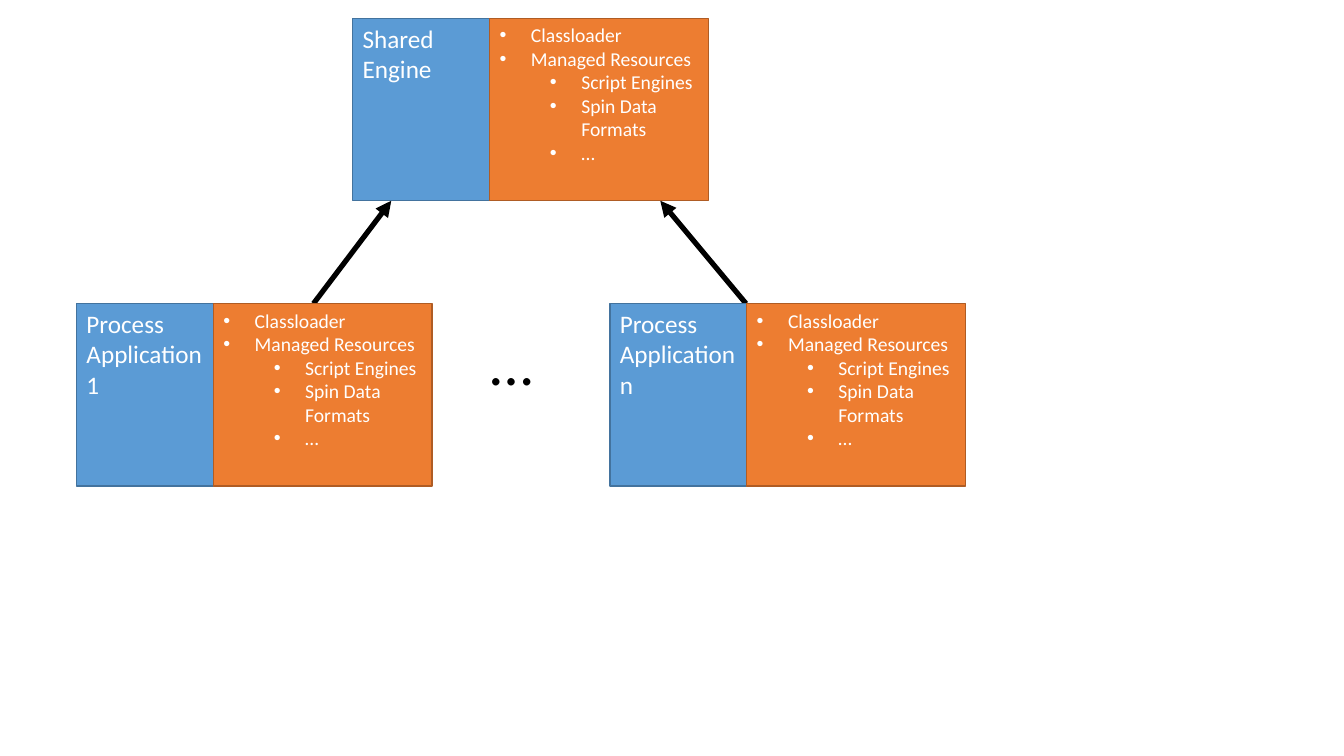
from lxml.etree import SubElement
from pptx import Presentation
from pptx.dml.color import RGBColor
from pptx.enum.shapes import MSO_CONNECTOR, MSO_SHAPE
from pptx.enum.text import MSO_ANCHOR, MSO_AUTO_SIZE, PP_ALIGN
from pptx.oxml.ns import qn
from pptx.util import Cm, Pt

FONT = "Calibri"
BLUE, BLUE_EDGE = "5B9BD5", "43739E"
ORANGE, ORANGE_EDGE = "ED7D31", "AF5C24"
WHITE, BLACK = "FFFFFF", "000000"

# Text and outline level of each bullet
CONTENTS = [
    ("Classloader", 0),
    ("Managed Resources", 0),
    ("Script Engines", 1),
    ("Spin Data Formats", 1),
    ("…", 1),
]
NAME_W, CONTENTS_W, BLOCK_H = 3.45, 5.51, 4.6
ENGINE_TOP, APP_TOP = 0.46, 7.65
# Name, left, top in cm
BLOCKS = [
    ("Shared Engine", 8.89, ENGINE_TOP),
    ("Process Application 1", 1.93, APP_TOP),
    ("Process Application n", 15.37, APP_TOP),
]
# Start x at an application, end x at the engine, in cm
ARROWS = [(7.9, 9.86), (18.8, 16.64)]
HANGING, LEVEL_STEP = 0.79, 1.27


def rgb(color):
    return RGBColor.from_string(color)


def format_text(tf, size, color):
    for p in tf.paragraphs:
        p.alignment = PP_ALIGN.LEFT
        for r in p.runs:
            r.font.name = FONT
            r.font.size = Pt(size)
            r.font.color.rgb = rgb(color)


def add_box(shapes, left, top, width, fill, edge):
    s = shapes.add_shape(MSO_SHAPE.RECTANGLE, Cm(left), Cm(top), Cm(width), Cm(BLOCK_H))
    s.shadow.inherit = False
    s.fill.solid()
    s.fill.fore_color.rgb = rgb(fill)
    s.line.color.rgb = rgb(edge)
    s.line.width = Pt(1)
    s.text_frame.word_wrap = True
    s.text_frame.vertical_anchor = MSO_ANCHOR.TOP
    return s.text_frame


def add_bullet(p, level):
    p.level = level
    pPr = p._p.get_or_add_pPr()
    pPr.set("marL", str(Cm(HANGING + level * LEVEL_STEP)))
    pPr.set("indent", str(-Cm(HANGING)))
    SubElement(pPr, qn("a:buFont"), typeface="Arial")
    SubElement(pPr, qn("a:buChar"), char="•")


def add_block(slide, name, left, top):
    """Add a grouped pair: the name box and the bulleted contents box."""
    shapes = slide.shapes.add_group_shape().shapes
    tf = add_box(shapes, left, top, NAME_W, BLUE, BLUE_EDGE)
    tf.text = name
    format_text(tf, 18, WHITE)

    tf = add_box(shapes, left + NAME_W, top, CONTENTS_W, ORANGE, ORANGE_EDGE)
    tf.text = "\n".join(text for text, _ in CONTENTS)
    format_text(tf, 14, WHITE)
    for p, (_, level) in zip(tf.paragraphs, CONTENTS):
        add_bullet(p, level)


def add_arrow(slide, start_x, end_x):
    c = slide.shapes.add_connector(
        MSO_CONNECTOR.STRAIGHT,
        Cm(start_x), Cm(APP_TOP), Cm(end_x), Cm(ENGINE_TOP + BLOCK_H))
    c.line.color.rgb = rgb(BLACK)
    c.line.width = Pt(3.75)
    SubElement(c.line._get_or_add_ln(), qn("a:tailEnd"), type="triangle")
    SubElement(c._element.spPr, qn("a:effectLst"))


def add_ellipsis(slide):
    s = slide.shapes.add_textbox(Cm(12.12), Cm(8.05), Cm(1.3), Cm(2.13))
    tf = s.text_frame
    tf.word_wrap = False
    tf.auto_size = MSO_AUTO_SIZE.SHAPE_TO_FIT_TEXT
    tf.text = "…"
    format_text(tf, 44, BLACK)


def main():
    prs = Presentation()
    prs.slide_width, prs.slide_height = Cm(33.87), Cm(19.05)
    slide = prs.slides.add_slide(prs.slide_layouts[6])
    for start_x, end_x in ARROWS:
        add_arrow(slide, start_x, end_x)
    for name, left, top in BLOCKS:
        add_block(slide, name, left, top)
    add_ellipsis(slide)
    prs.save("out.pptx")


if __name__ == "__main__":
    main()
